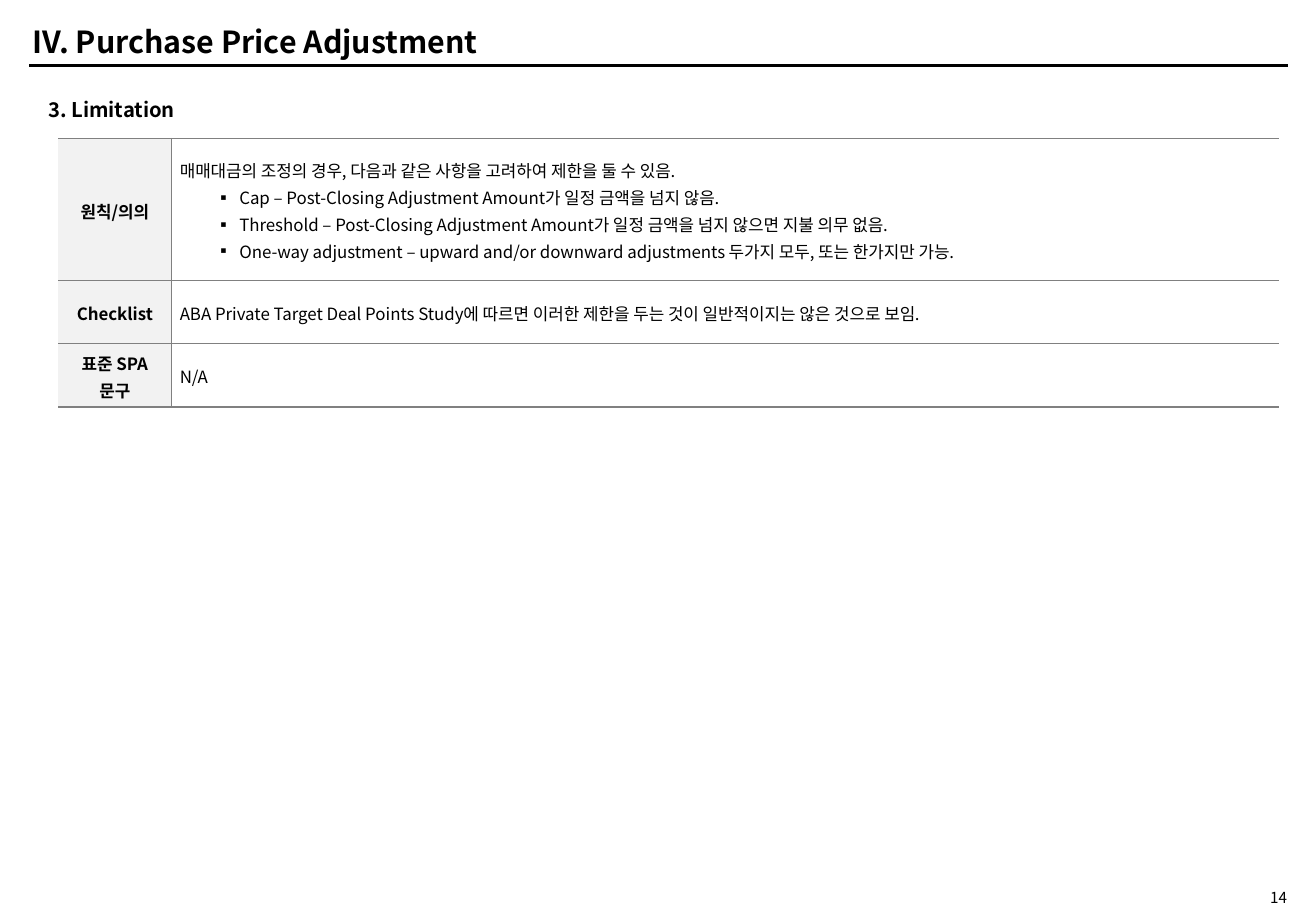
from lxml.etree import SubElement
from pptx import Presentation
from pptx.dml.color import RGBColor
from pptx.enum.text import MSO_ANCHOR, MSO_AUTO_SIZE, PP_ALIGN
from pptx.oxml.ns import qn
from pptx.util import Inches, Pt

FONT = "Noto Sans CJK KR"
BLACK = RGBColor(0, 0, 0)
GRAY = RGBColor(0x80, 0x80, 0x80)
LABEL_FILL = RGBColor(0xF2, 0xF2, 0xF2)

TITLE = "IV. Purchase Price Adjustment"
HEADING = "3. Limitation"
PAGE_NUMBER = "14"
TERMS = [
    {
        "label": ["원칙/의의"],
        "body": ["매매대금의 조정의 경우, 다음과 같은 사항을 고려하여 제한을 둘 수 있음."],
        "bullets": [
            "Cap – Post-Closing Adjustment Amount가 일정 금액을 넘지 않음.",
            "Threshold – Post-Closing Adjustment Amount가 일정 금액을 넘지 않으면 지불 의무 없음.",
            "One-way adjustment – upward and/or downward adjustments 두가지 모두, 또는 한가지만 가능.",
        ],
        "height": 1.17,
    },
    {
        "label": ["Checklist"],
        "body": ["ABA Private Target Deal Points Study에 따르면 이러한 제한을 두는 것이 일반적이지는 않은 것으로 보임."],
        "bullets": [],
        "height": 0.52,
    },
    {
        "label": ["표준 SPA", "문구"],
        "body": ["N/A"],
        "bullets": [],
        "height": 0.52,
    },
]
COLUMN_WIDTHS = [0.93, 9.12]


def write(frame, lines, bullets=(), size=10, bold=False, align=PP_ALIGN.LEFT, spacing=1.0):
    for index, line in enumerate([*lines, *bullets]):
        paragraph = frame.paragraphs[0] if index == 0 else frame.add_paragraph()
        paragraph.alignment = align
        paragraph.line_spacing = spacing
        if index >= len(lines):
            properties = paragraph._p.get_or_add_pPr()
            properties.set("marL", str(Inches(0.49)))
            properties.set("indent", str(Inches(-0.2)))
            SubElement(properties, qn("a:buFont"), typeface=FONT)
            SubElement(properties, qn("a:buChar"), char="▪")
        run = paragraph.add_run()
        run.text = line
        run.font.size = Pt(size)
        run.font.bold = bold
        run.font.color.rgb = BLACK
        run.font.name = FONT
        SubElement(run._r.get_or_add_rPr(), qn("a:ea"), typeface=FONT)


def set_borders(cell, visible):
    properties = cell._tc.get_or_add_tcPr()
    for side in "LRTB":
        border = SubElement(properties, qn(f"a:ln{side}"), w=str(Pt(1)))
        if side in visible:
            fill = SubElement(border, qn("a:solidFill"))
            SubElement(fill, qn("a:srgbClr"), val=str(GRAY))
        else:
            SubElement(border, qn("a:noFill"))


def place(shape, left, top, width, height):
    shape.left, shape.top = Inches(left), Inches(top)
    shape.width, shape.height = Inches(width), Inches(height)


def add_label(slide, left, top, width, height):
    frame = slide.shapes.add_textbox(
        Inches(left), Inches(top), Inches(width), Inches(height)).text_frame
    frame.word_wrap = True
    return frame


def add_terms(slide):
    table = slide.shapes.add_table(
        len(TERMS), 2, Inches(0.48), Inches(1.14), Inches(sum(COLUMN_WIDTHS)),
        Inches(sum(term["height"] for term in TERMS))).table
    table.first_row = table.horz_banding = False
    for column, width in zip(table.columns, COLUMN_WIDTHS):
        column.width = Inches(width)
    for row, term in zip(table.rows, TERMS):
        row.height = Inches(term["height"])
        label, body = row.cells
        set_borders(label, "RTB")
        set_borders(body, "LTB")
        for cell in (label, body):
            cell.vertical_anchor = MSO_ANCHOR.MIDDLE
            cell.margin_left = cell.margin_right = Inches(0.07)
            cell.margin_top = cell.margin_bottom = 0
        label.fill.solid()
        label.fill.fore_color.rgb = LABEL_FILL
        body.fill.background()
        write(label.text_frame, term["label"], bold=True, align=PP_ALIGN.CENTER, spacing=1.1)
        write(body.text_frame, term["body"], term["bullets"], spacing=1.1)


def main():
    deck = Presentation()
    deck.slide_width, deck.slide_height = Inches(10.83), Inches(7.5)
    slide = deck.slides.add_slide(deck.slide_layouts[5])

    rule = slide.shapes.add_connector(1, Inches(0.24), Inches(0.54), Inches(10.6), Inches(0.54))
    rule.line.color.rgb = BLACK
    rule.line.width = Pt(2)
    SubElement(rule._element.spPr, qn("a:effectLst"))

    title = slide.shapes.title
    place(title, 0.17, 0.15, 5.11, 0.38)
    title.text_frame.auto_size = MSO_AUTO_SIZE.NONE
    title.text_frame.vertical_anchor = MSO_ANCHOR.MIDDLE
    write(title.text_frame, [TITLE], size=18, bold=True)

    write(add_label(slide, 0.3, 0.75, 10.02, 0.3), [HEADING], size=12, bold=True)
    add_terms(slide)

    page = add_label(slide, 9.75, 7.31, 0.94, 0.15)
    page.margin_top = page.margin_bottom = 0
    page.vertical_anchor = MSO_ANCHOR.MIDDLE
    write(page, [PAGE_NUMBER], size=9, align=PP_ALIGN.RIGHT)

    deck.save("out.pptx")


if __name__ == "__main__":
    main()
